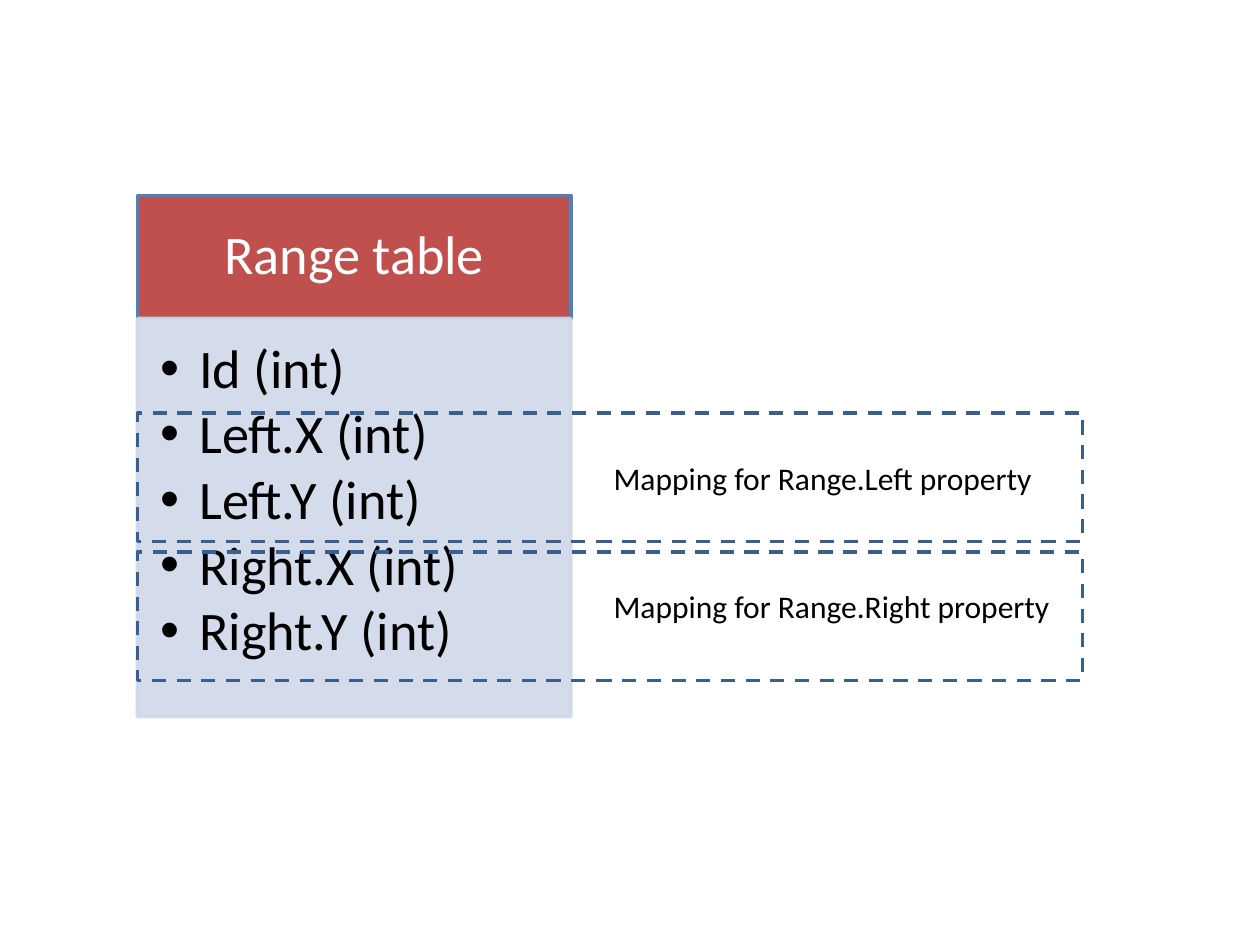
from lxml.etree import SubElement
from pptx import Presentation
from pptx.dml.color import RGBColor
from pptx.enum.dml import MSO_LINE
from pptx.enum.shapes import MSO_SHAPE
from pptx.enum.text import MSO_ANCHOR, MSO_AUTO_SIZE, PP_ALIGN
from pptx.oxml.ns import qn
from pptx.util import Cm, Pt


def rgb(value):
    return RGBColor.from_string(value)


class Diagram:
    font = "Calibri"
    line_width = Pt(2)

    def __init__(self, slide):
        self.slide = slide

    def box(self, left, top, width, height, line, fill=None, dashed=False, opacity=None):
        shape = self.slide.shapes.add_shape(
            MSO_SHAPE.RECTANGLE, Cm(left), Cm(top), Cm(width), Cm(height))
        shape.shadow.inherit = False
        shape.line.color.rgb = rgb(line)
        shape.line.width = self.line_width
        if dashed:
            shape.line.dash_style = MSO_LINE.DASH
        if fill:
            shape.fill.solid()
            shape.fill.fore_color.rgb = rgb(fill)
        else:
            shape.fill.background()
        if opacity:
            for color in shape._element.spPr.iter(qn("a:srgbClr")):
                SubElement(color, qn("a:alpha"), val=str(opacity * 1000))
        return shape

    def set_text(self, shape, text, size, color, align=PP_ALIGN.LEFT,
                 anchor=MSO_ANCHOR.TOP, insets=None, spacing=None, after=None):
        frame = shape.text_frame
        frame.text = text
        frame.vertical_anchor = anchor
        if insets:
            (frame.margin_left, frame.margin_top,
             frame.margin_right, frame.margin_bottom) = map(Cm, insets)
        for paragraph in frame.paragraphs:
            paragraph.alignment = align
            if spacing:
                paragraph.line_spacing = spacing
            if after is not None:
                paragraph.space_after = Pt(after)
            for run in paragraph.runs:
                run.font.name = self.font
                run.font.size = Pt(size)
                run.font.color.rgb = rgb(color)
        return frame

    def bullets(self, frame, indent):
        for paragraph in frame.paragraphs:
            paragraph.level = 1
            properties = paragraph._p.get_or_add_pPr()
            properties.set("marL", str(Cm(indent)))
            properties.set("indent", str(-Cm(indent)))
            SubElement(properties, qn("a:buFont"), typeface="Arial")
            SubElement(properties, qn("a:buChar"), char="•")

    def label(self, left, top, width, height, text, size, color):
        label = self.slide.shapes.add_textbox(Cm(left), Cm(top), Cm(width), Cm(height))
        frame = self.set_text(label, text, size, color)
        frame.word_wrap = False
        frame.auto_size = MSO_AUTO_SIZE.SHAPE_TO_FIT_TEXT


deck = Presentation()
deck.slide_width, deck.slide_height = Cm(25.4), Cm(19.05)
diagram = Diagram(deck.slides.add_slide(deck.slide_layouts[6]))

table_left, table_top, table_width = 2.77, 3.94, 8.74
header_height, body_height = 2.48, 8.03
columns = ["Id (int)", "Left.X (int)", "Left.Y (int)", "Right.X (int)", "Right.Y (int)"]

header = diagram.box(table_left, table_top, table_width, header_height, "4F81BD", "C0504D")
diagram.set_text(header, "Range table", 31, "FFFFFF", PP_ALIGN.CENTER, MSO_ANCHOR.MIDDLE,
                 (0.61, 0.35, 0.61, 0.35), 0.9)

body = diagram.box(table_left, table_top + header_height, table_width, body_height,
                   "D0D8E8", "D0D8E8", opacity=90)
column_list = diagram.set_text(body, "\n".join(columns), 31, "000000",
                               insets=(0.46, 0.46, 0.61, 0.69), spacing=0.9, after=4)
diagram.bullets(column_list, 0.79)

mappings = [("Left", 8.33, 9.12, 9.19), ("Right", 11.13, 11.71, 9.55)]
for side, frame_top, label_top, label_width in mappings:
    diagram.box(table_left, frame_top, 19.05, 2.59, "3A5F8C", dashed=True)
    diagram.label(12.12, label_top, label_width, 1.02,
                  f"Mapping for Range.{side} property ", 18, "000000")

deck.save("out.pptx")
